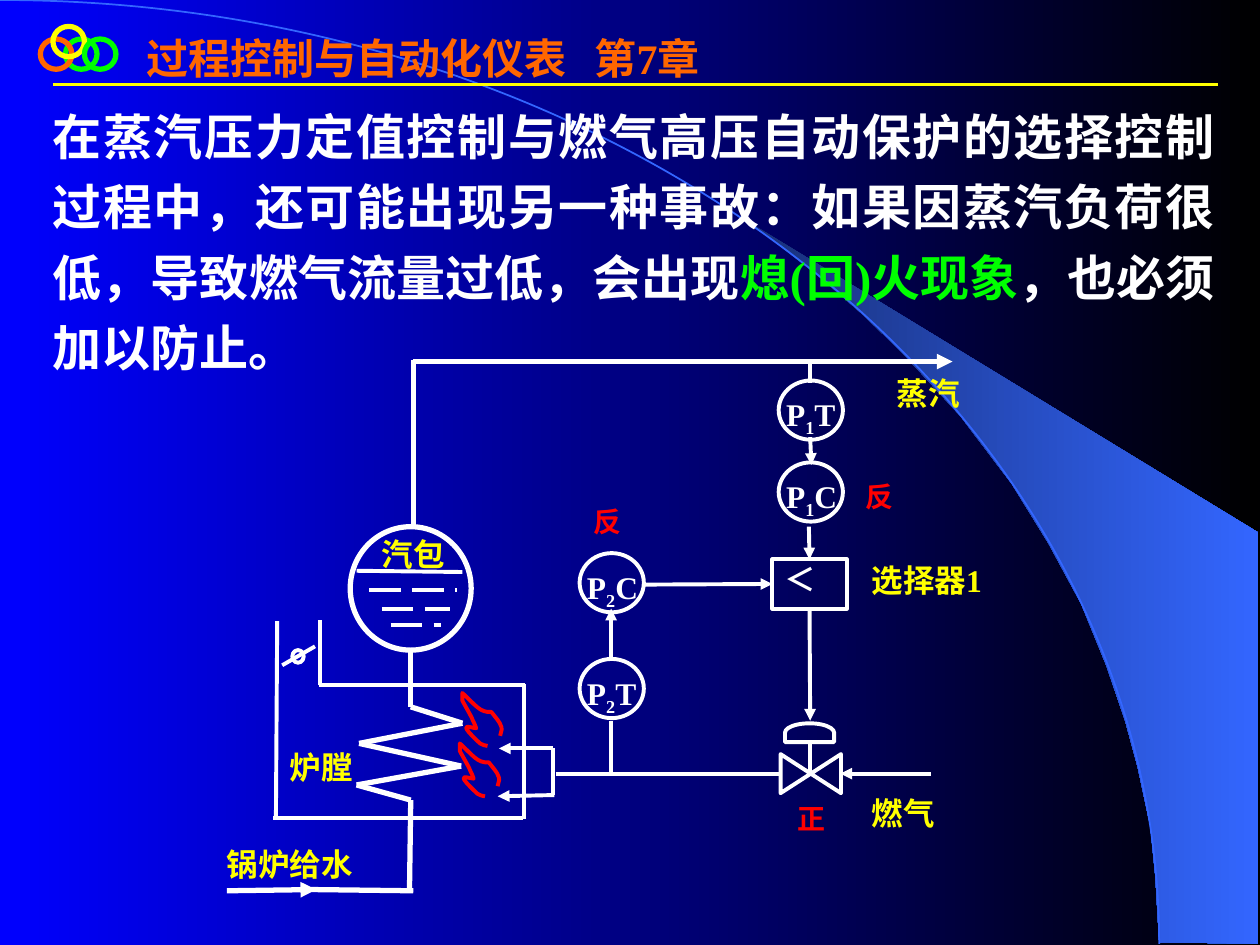
from lxml import etree
from pptx import Presentation
from pptx.dml.color import RGBColor
from pptx.enum.dml import MSO_LINE
from pptx.enum.shapes import MSO_CONNECTOR, MSO_SHAPE
from pptx.enum.text import MSO_ANCHOR, MSO_AUTO_SIZE, PP_ALIGN
from pptx.oxml.ns import qn
from pptx.util import Inches, Pt

STRAIGHT = MSO_CONNECTOR.STRAIGHT
OVAL, RECT = MSO_SHAPE.OVAL, MSO_SHAPE.RECTANGLE
NODE = MSO_SHAPE.FLOWCHART_CONNECTOR
VALVE, DOME = MSO_SHAPE.FLOWCHART_COLLATE, MSO_SHAPE.FLOWCHART_DELAY
DASH = MSO_LINE.LONG_DASH
TOP, NO_FIT = MSO_ANCHOR.TOP, MSO_AUTO_SIZE.NONE
LEFT, FULL = PP_ALIGN.LEFT, PP_ALIGN.JUSTIFY

WHITE, YELLOW, RED, GREEN, ORANGE = "FFFFFF", "FFFF00", "FF0000", "00FF00", "FF6600"
SERIF, SANS = "Times New Roman", "Noto Sans CJK SC"

TITLE = "过程控制与自动化仪表\t第7章"
BODY = [
    ("在蒸汽压力定值控制与燃气高压自动保护的选择控制过程中，还可能出现另一种事故："
     "如果因蒸汽负荷很低，导致燃气流量过低，会出现", WHITE, 0),
    ("熄(回)火现象", GREEN, 0),
    ("，也必须加以防止。", WHITE, 0),
]
CRESCENT = [
    (9.2, 7.48), (9.99, 7.49), (9.99, 4.23), (5.89, 1.73), (6.24, 1.99), (6.53, 2.22),
    (6.85, 2.5), (7.16, 2.8), (7.62, 3.3), (8.03, 3.84), (8.32, 4.31), (8.58, 4.79),
    (8.78, 5.28), (8.93, 5.72), (9.03, 6.09), (9.13, 6.56), (9.17, 6.96), (9.2, 7.48),
]
ARC = [(0, 0), (5.08, 0), (9.2, 3.35), (9.2, 7.49)]
FLAME = [
    (3.87, 5.92), (3.85, 5.91), (3.83, 5.92), (3.81, 5.9), (3.63, 5.73), (3.71, 5.77),
    (3.78, 5.78), (3.77, 5.75), (3.76, 5.73), (3.75, 5.71), (3.75, 5.7), (3.68, 5.58),
    (3.67, 5.56), (3.67, 5.54), (3.67, 5.52), (3.67, 5.5), (3.77, 5.59), (3.81, 5.66),
    (3.9, 5.65), (3.93, 5.69), (3.97, 5.73), (3.98, 5.77), (3.99, 5.8), (3.97, 5.81),
    (3.97, 5.84),
]
RINGS = [(0.52, 0.31, GREEN), (0.32, 0.31, ORANGE), (0.42, 0.21, YELLOW), (0.67, 0.31, GREEN)]
METERS = [(4.6, 4.39, "2", "C"), (4.6, 5.23, "2", "T"),
          (6.18, 3.02, "1", "T"), (6.18, 3.67, "1", "C")]
LABELS = [
    ("燃气", 6.82, 6.19, 0.81), ("锅炉给水", 1.7, 6.6, 1.46), ("蒸汽", 7.02, 2.86, 0.89),
    ("汽包", 2.93, 4.14, 0.89), ("炉膛", 2.2, 5.83, 0.8), ("选择器1", 6.82, 4.34, 1.27),
]
SIGNS = [("反", 4.61, 3.9), ("反", 6.77, 3.7), ("正", 6.23, 6.26)]
PIPES = [
    (2.2, 4.93, 2.19, 6.49), (4.16, 5.43, 4.16, 6.5), (2.17, 6.49, 4.15, 6.49),
    (2.53, 5.44, 4.17, 5.44), (2.54, 5.44, 2.54, 4.92), (4.41, 6.14, 6.21, 6.14),
    (4.39, 5.94, 4.39, 6.31), (4.85, 6.14, 4.85, 5.72), (6.43, 2.87, 6.43, 3.04),
    (6.43, 5.89, 6.43, 6.15), (2.24, 5.28, 2.5, 5.13), (2.83, 4.53, 3.67, 4.54),
]
FLOWS = [
    (7.39, 6.14, 6.67, 6.14), (4.4, 6.31, 3.95, 6.32), (4.39, 5.94, 3.96, 5.94),
    (6.43, 3.47, 6.44, 3.69), (4.85, 5.22, 4.85, 4.83),
]
WAVES = [(2.93, 4.68, 3.63, 4.68), (3.03, 4.83, 3.57, 4.83), (3.1, 4.96, 3.5, 4.96)]
COIL = [(3.26, 5.16), (3.26, 5.61), (3.67, 5.74), (2.85, 5.9), (3.66, 6.08),
        (2.83, 6.23), (3.26, 6.35), (3.25, 7.06)]
MAINS = [(3.28, 7.07, 2.47, 7.06), (3.28, 4.17, 3.28, 2.86)]
MAIN_FLOWS = [(1.8, 7.07, 2.51, 7.06), (3.28, 2.87, 7.56, 2.87)]

deck = Presentation()
deck.slide_width, deck.slide_height = Inches(10), Inches(7.5)
slide = deck.slides.add_slide(deck.slide_layouts[5])
shapes = slide.shapes


def rgb(code):
    """Turn a hex string into a colour."""
    return RGBColor.from_string(code)


def shade(fill, *codes):
    """Apply a left-to-right gradient."""
    fill.gradient()
    fill.gradient_angle = 0
    for stop, code in zip(fill.gradient_stops, codes):
        stop.color.rgb = rgb(code)


def ink(line, code, width):
    """Set a line's colour and width."""
    line.color.rgb = rgb(code)
    line.width = Pt(width)


def write(shape, runs, size, align=LEFT, space=1.2, face=SERIF):
    """Fill a shape with one paragraph of (text, colour, baseline) runs."""
    frame = shape.text_frame
    for key, value in dict(word_wrap=True, auto_size=NO_FIT, vertical_anchor=TOP).items():
        setattr(frame, key, value)
    para = frame.paragraphs[0]
    para.alignment, para.line_spacing = align, space
    for text, code, base in runs:
        run = para.add_run()
        run.text = text
        for key, value in dict(name=face, size=Pt(size), bold=True).items():
            setattr(run.font, key, value)
        run.font.color.rgb = rgb(code)
        if base:
            run.font._element.set("baseline", str(base))
    return para


def label(box, runs, size, align=FULL):
    """Add a text box."""
    write(shapes.add_textbox(*map(Inches, box)), runs, size, align)


def form(kind, box, code=WHITE, width=2.25, turn=0):
    """Add an outlined preset shape."""
    shape = shapes.add_shape(kind, *map(Inches, box))
    shape.shadow.inherit = False
    shape.fill.background()
    shape.rotation = turn
    ink(shape.line, code, width)
    return shape


def link(ends, code=WHITE, width=2.25, arrow=False, dash=None):
    """Add a straight line, with an arrowhead at its end if asked."""
    line = shapes.add_connector(STRAIGHT, *map(Inches, ends))
    ink(line.line, code, width)
    if dash:
        line.line.dash_style = dash
    if arrow:
        etree.SubElement(line.line._get_or_add_ln(), qn("a:tailEnd"), type="triangle")
    etree.SubElement(line._element.spPr, qn("a:effectLst"))
    return line


def trace(points):
    """Build a freeform through the points."""
    first, *rest = [(Inches(x), Inches(y)) for x, y in points]
    pen = shapes.build_freeform(*first)
    pen.add_line_segments(rest, close=False)
    shape = pen.convert_to_shape()
    shape.shadow.inherit = False
    shape.fill.background()
    return shape


def curve(knots, code, width):
    """Draw a chain of cubic curves, three knots to each."""
    shape = trace(knots)
    ink(shape.line, code, width)
    steps = list(shape._element.iter(qn("a:lnTo")))
    for i in range(0, len(steps), 3):
        bend = etree.Element(qn("a:cubicBezTo"))
        steps[i].addprevious(bend)
        for step in steps[i:i + 3]:
            bend.append(step[0])
            step.getparent().remove(step)


shade(slide.background.fill, "0000FF", "000000")
moon = trace(CRESCENT)
shade(moon.fill, "182F76", "3366FF")
moon.line.fill.background()
curve(ARC, "3366FF", 1)

for x, y, code in RINGS:
    form(OVAL, (x, y, 0.25, 0.24), code, 3)
link((0.42, 0.67, 9.67, 0.67), YELLOW, 1.5)

title = shapes.title
title.left, title.top, title.width, title.height = map(Inches, (1.06, 0.21, 8.42, 0.5))
head = write(title, [(TITLE, ORANGE, 0)], 24, space=1.0)
tabs = etree.SubElement(head._p.get_or_add_pPr(), qn("a:tabLst"))
etree.SubElement(tabs, qn("a:tab"), pos=str(Inches(3.56)), algn="l")
shapes._spTree.append(title._element)

form(OVAL, (2.78, 4.18, 0.96, 0.98), width=3)
for ends in PIPES:
    link(ends)
for ends in FLOWS:
    link(ends, arrow=True)
for ends in WAVES:
    link(ends, dash=DASH)
for start, end in zip(COIL, COIL[1:]):
    link(start + end, width=3)
for ends in MAINS:
    link(ends, width=3)
for ends in MAIN_FLOWS:
    link(ends, width=3, arrow=True)
for dx, dy in ((0, 0), (-0.02, 0.4)):
    curve([(x + dx, y + dy) for x, y in FLAME], RED, 2.25)

form(NODE, (2.32, 5.16, 0.09, 0.1))
form(VALVE, (6.28, 5.9, 0.31, 0.48), turn=270)
form(DOME, (6.35, 5.62, 0.15, 0.39), turn=270)
select = form(RECT, (6.13, 4.44, 0.59, 0.39))
write(select, [("＜", WHITE, 0)], 18, FULL, 0.85, SANS)
link((6.42, 4.18, 6.43, 4.44), arrow=True).end_connect(select, 0)
link((5.1, 4.64, 6.13, 4.64), arrow=True).end_connect(select, 1)
link((6.43, 4.83, 6.43, 5.72), arrow=True).begin_connect(select, 2)

for x, y, loop, role in METERS:
    form(OVAL, (x, y, 0.51, 0.47))
    label((x - 0.04, y, 0.64, 0.35),
          [("P", WHITE, 0), (loop, WHITE, -25000), (role, WHITE, 0)], 18)
for text, x, y, wide in LABELS:
    label((x, y, wide, 0.45), [(text, YELLOW, 0)], 18)
for text, x, y in SIGNS:
    label((x, y, 0.59, 0.42), [(text, RED, 0)], 16, LEFT)
label((0.32, 0.7, 9.42, 2.34), BODY, 28)

deck.save("out.pptx")
